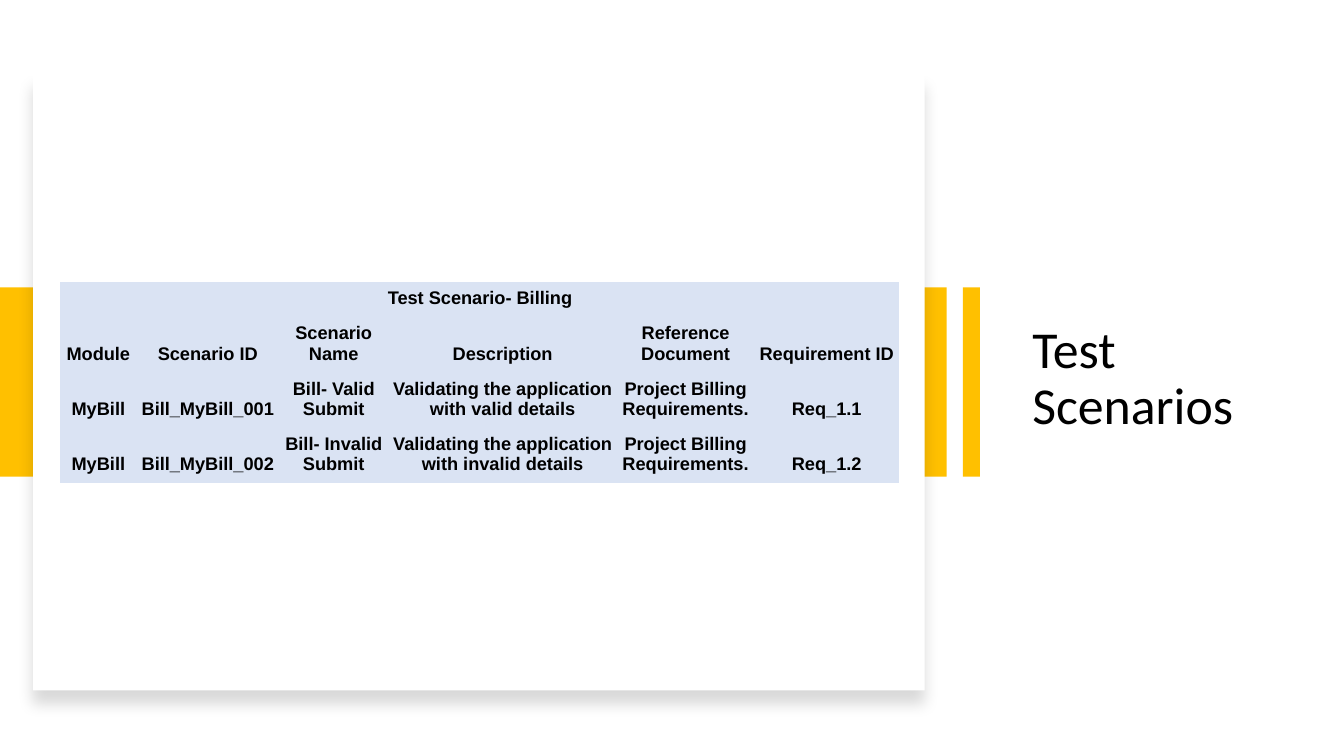
from lxml import etree
from pptx import Presentation
from pptx.dml.color import RGBColor
from pptx.enum import shapes, text
from pptx.oxml.ns import qn
from pptx.util import Pt

PX = 9144
COLORS = {"gold": "FFC000", "white": "FFFFFF", "black": "000000", "cell": "DAE3F3"}
COLUMN_WIDTHS = [75, 142, 108, 227, 136, 144]
ROW_HEIGHTS = [34, 55, 55, 55]
HEADING = "Test Scenario- Billing"
SCENARIOS = [
    ["Module", "Scenario ID", "Scenario Name", "Description",
     "Reference Document", "Requirement ID"],
    ["MyBill", "Bill_MyBill_001", "Bill- Valid Submit",
     "Validating the application with valid details",
     "Project Billing Requirements.", "Req_1.1"],
    ["MyBill", "Bill_MyBill_002", "Bill- Invalid Submit",
     "Validating the application with invalid details",
     "Project Billing Requirements.", "Req_1.2"],
]


def color(name):
    return RGBColor.from_string(COLORS[name])


def box(*lengths):
    return [length * PX for length in lengths]


def add_run(paragraph, words, font, size, bold=False):
    run = paragraph.add_run()
    run.text = words
    run.font.name = font
    run.font.size = Pt(size)
    run.font.bold = bold
    run.font.color.rgb = color("black")


def add_block(slide, bounds, fill):
    block = slide.shapes.add_shape(shapes.MSO_SHAPE.RECTANGLE, *box(*bounds))
    block.shadow.inherit = False
    block.fill.solid()
    block.fill.fore_color.rgb = color(fill)
    block.line.fill.background()
    return block


def add_soft_shadow(card):
    effects = card.element.spPr.find(qn("a:effectLst"))
    shadow = etree.SubElement(
        effects, qn("a:outerShdw"), blurRad=str(Pt(11)), dist=str(Pt(10)),
        dir="5400000", algn="t", rotWithShape="0")
    shade = etree.SubElement(shadow, qn("a:srgbClr"), val=COLORS["black"])
    etree.SubElement(shade, qn("a:alpha"), val="15000")


def add_title(slide, bounds, words):
    title = slide.shapes.add_textbox(*box(*bounds)).text_frame
    title.word_wrap = True
    title.vertical_anchor = text.MSO_ANCHOR.MIDDLE
    paragraph = title.paragraphs[0]
    paragraph.line_spacing = 0.9
    add_run(paragraph, words, "Calibri", 37)


def style_cell(cell):
    cell.fill.solid()
    cell.fill.fore_color.rgb = color("cell")
    cell.vertical_anchor = text.MSO_ANCHOR.BOTTOM
    cell.margin_left = cell.margin_top = cell.margin_right = PX
    cell.margin_bottom = 8 * PX
    properties = cell._tc.get_or_add_tcPr()
    for position, side in enumerate(("lnL", "lnR", "lnT", "lnB")):
        border = etree.Element(qn(f"a:{side}"), w="0")
        etree.SubElement(border, qn("a:noFill"))
        properties.insert(position, border)


def fill_cell(cell, words):
    paragraph = cell.text_frame.paragraphs[0]
    paragraph.alignment = text.PP_ALIGN.CENTER
    add_run(paragraph, words, "Arial", 13, bold=True)


def add_scenarios(slide, left, top):
    bounds = box(left, top, sum(COLUMN_WIDTHS), sum(ROW_HEIGHTS))
    table = slide.shapes.add_table(
        len(ROW_HEIGHTS), len(COLUMN_WIDTHS), *bounds).table
    table.first_row = table.horz_banding = False
    for column, width in zip(table.columns, COLUMN_WIDTHS):
        column.width = width * PX
    for row, height in zip(table.rows, ROW_HEIGHTS):
        row.height = height * PX
    for cell in table.iter_cells():
        style_cell(cell)
    heading = table.cell(0, 0)
    heading.merge(table.cell(0, len(COLUMN_WIDTHS) - 1))
    fill_cell(heading, HEADING)
    for row, entries in enumerate(SCENARIOS, start=1):
        for column, words in enumerate(entries):
            fill_cell(table.cell(row, column), words)


def main():
    deck = Presentation()
    deck.slide_width, deck.slide_height = box(1333, 750)
    slide = deck.slides.add_slide(deck.slide_layouts[6])
    add_title(slide, (1014, 221, 270, 311), "Test Scenarios")
    add_block(slide, (0, 285, 939, 188), "gold")
    add_soft_shadow(add_block(slide, (33, 73, 884, 612), "white"))
    add_block(slide, (955, 285, 17, 188), "gold")
    add_scenarios(slide, 60, 280)
    deck.save("out.pptx")


if __name__ == "__main__":
    main()
